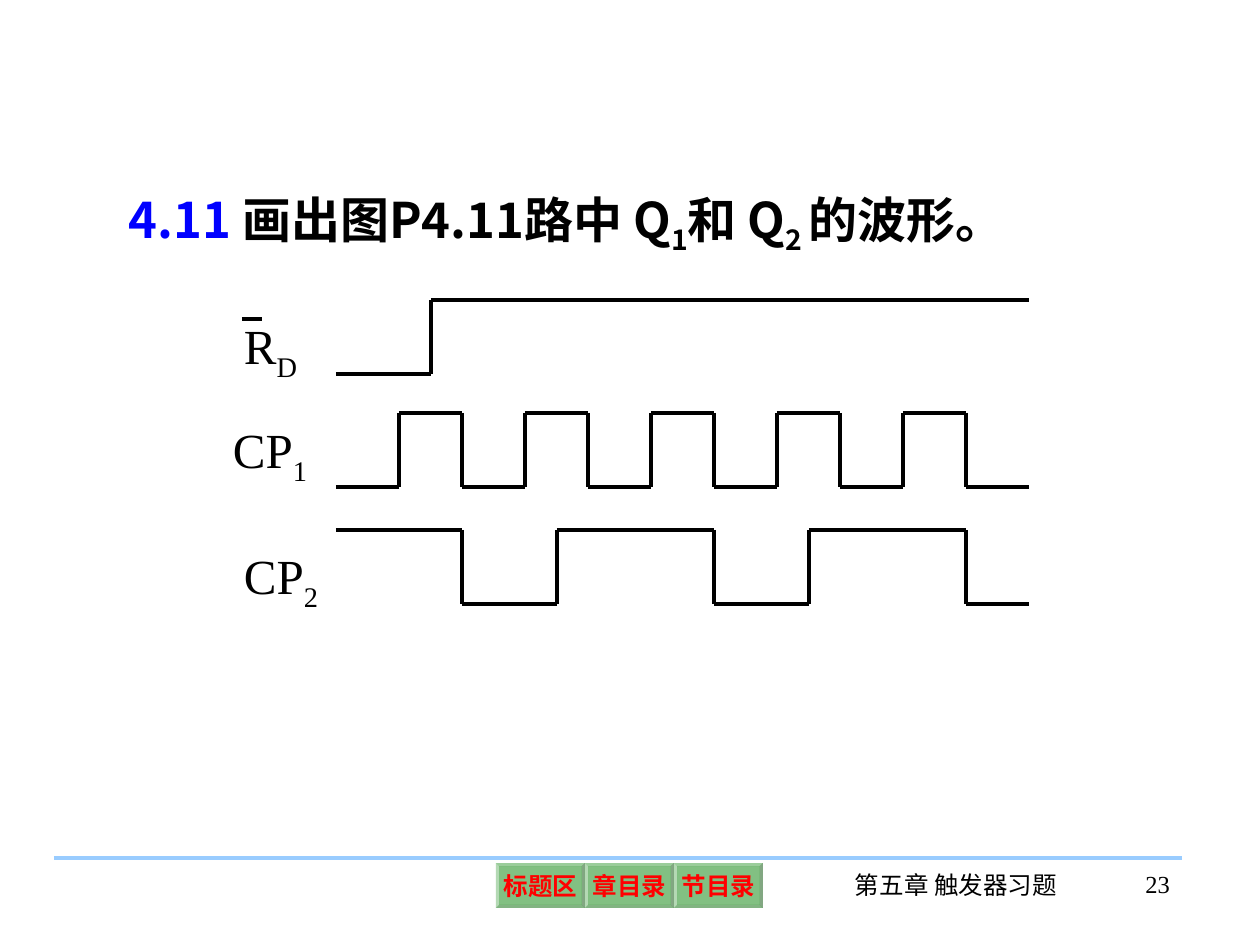
from lxml import etree
from pptx import Presentation
from pptx.dml.color import RGBColor
from pptx.enum.shapes import MSO_CONNECTOR, MSO_SHAPE
from pptx.enum.text import MSO_ANCHOR, MSO_AUTO_SIZE, PP_ALIGN
from pptx.oxml.ns import qn
from pptx.util import Pt

PX = 914400 // 126
LEFT, MID, RIGHT = PP_ALIGN.LEFT, PP_ALIGN.CENTER, PP_ALIGN.RIGHT
TOP, CENTER = MSO_ANCHOR.TOP, MSO_ANCHOR.MIDDLE
NO_FIT = MSO_AUTO_SIZE.NONE
BEVEL, STRAIGHT = MSO_SHAPE.BEVEL, MSO_CONNECTOR.STRAIGHT
SERIF, SANS = "Times New Roman", "Noto Sans CJK SC"
BLACK, BLUE, RED, GREEN, SKY = "000000", "0000FF", "FF0000", "008000", "99CCFF"


def px(*nums):
    """Turn pixel lengths into EMU."""
    return [round(n * PX) for n in nums]


def color(code):
    """Turn a hex string into a colour."""
    return RGBColor.from_string(code)


def write(shape, runs, size=28, font=SERIF, bold=False, align=LEFT,
          lead=1.0, anchor=TOP, wrap=True, pad=(13, 6)):
    """Fill a shape with one paragraph of (text, colour, is subscript) runs."""
    frame = shape.text_frame
    frame.auto_size = NO_FIT
    frame.word_wrap, frame.vertical_anchor = wrap, anchor
    frame.margin_left, frame.margin_top = px(*pad)
    frame.margin_right, frame.margin_bottom = px(*pad)
    para = frame.paragraphs[0]
    para.alignment, para.line_spacing = align, lead
    for text, ink, sub in runs:
        run = para.add_run()
        run.text = text
        run.font.size, run.font.bold, run.font.name = Pt(size), bold, font
        run.font.color.rgb = color(ink)
        props = run._r.get_or_add_rPr()
        etree.SubElement(props, qn("a:ea")).set("typeface", SANS)
        if sub:
            props.set("baseline", "-25000")


def label(slide, box, runs, **style):
    """Add a text box."""
    write(slide.shapes.add_textbox(*px(*box)), runs, **style)


def stroke(slide, start, end, ink=BLACK):
    """Draw a straight line without a shadow."""
    line = slide.shapes.add_connector(STRAIGHT, *px(*start, *end))
    line.line.color.rgb = color(ink)
    line.line.width = Pt(2.25)
    etree.SubElement(line._element.spPr, qn("a:effectLst"))


def wave(slide, box, edges, high=False):
    """Draw a square wave that toggles at each edge, measured from the left."""
    left, top, width, height = box
    x, y = left, top if high else top + height
    for edge in edges:
        turn, flip = left + edge, 2 * top + height - y
        stroke(slide, (x, y), (turn, y))
        stroke(slide, (turn, y), (turn, flip))
        x, y = turn, flip
    stroke(slide, (x, y), (left + width, y))


def button(slide, box, text):
    """Add a bevelled menu button."""
    shape = slide.shapes.add_shape(BEVEL, *px(*box))
    shape.shadow.inherit = False
    shape.adjustments[0] = 0.07
    shape.fill.solid()
    shape.fill.fore_color.rgb = color(GREEN)
    tint = shape._element.spPr.find(".//" + qn("a:srgbClr"))
    etree.SubElement(tint, qn("a:alpha")).set("val", "49000")
    shape.line.fill.background()
    write(shape, [(text, RED, False)], size=14, bold=True, align=MID,
          anchor=CENTER, wrap=False, pad=(5, 5))


def heading(slide, box):
    """Place the exercise text in the title."""
    title = slide.shapes.title
    title.left, title.top, title.width, title.height = px(*box)
    runs = [("4.11 ", BLUE, False), ("画出图P4.11路中 Q", BLACK, False),
            ("1", BLACK, True), ("和 Q", BLACK, False),
            ("2 ", BLACK, True), ("的波形。", BLACK, False)]
    write(title, runs, font=SANS, bold=True, lead=1.3)


def chart(slide, box):
    """Draw the three input signals with their labels."""
    left, top, width, height = box
    start, span = left + 116, width - 116
    rows = [
        (11, 10, "R", "D", 1.0, 0, [95], False),
        (0, 94, "CP", "1", 1.3, 113, [63 * i for i in range(1, 11)], False),
        (11, 220, "CP", "2", 1.3, 230, [126, 221, 378, 473, 630], True),
    ]
    for dx, dy, name, sub, lead, drop, edges, high in rows:
        label(slide, (left + dx, top + dy, 126, 100),
              [(name, BLACK, False), (sub, BLACK, True)], lead=lead)
        wave(slide, (start, top + drop, span, height), edges, high)
    stroke(slide, (left + 22, top + 19), (left + 42, top + 19))


def footer(slide, box):
    """Add the rule, menu buttons, chapter name and page number."""
    left, top, width, height = box
    stroke(slide, (left, top), (left + width, top), SKY)
    for i, text in enumerate(["标题区", "章目录", "节目录"]):
        button(slide, (left + 442 + 89 * i, top + 5, 89, 45), text)
    label(slide, (left + 785, top + 6, 234, height),
          [("第五章 触发器习题", BLACK, False)], size=14, align=MID)
    label(slide, (left + 1021, top + 5, 108, height),
          [("23", BLACK, False)], size=14, align=RIGHT)


def main():
    """Build the slide."""
    deck = Presentation()
    deck.slide_width, deck.slide_height = px(1260, 945)
    slide = deck.slides.add_slide(deck.slide_layouts[5])
    heading(slide, (116, 163, 1040, 100))
    chart(slide, (220, 300, 809, 74))
    footer(slide, (54, 858, 1128, 63))
    deck.save("out.pptx")


if __name__ == "__main__":
    main()
